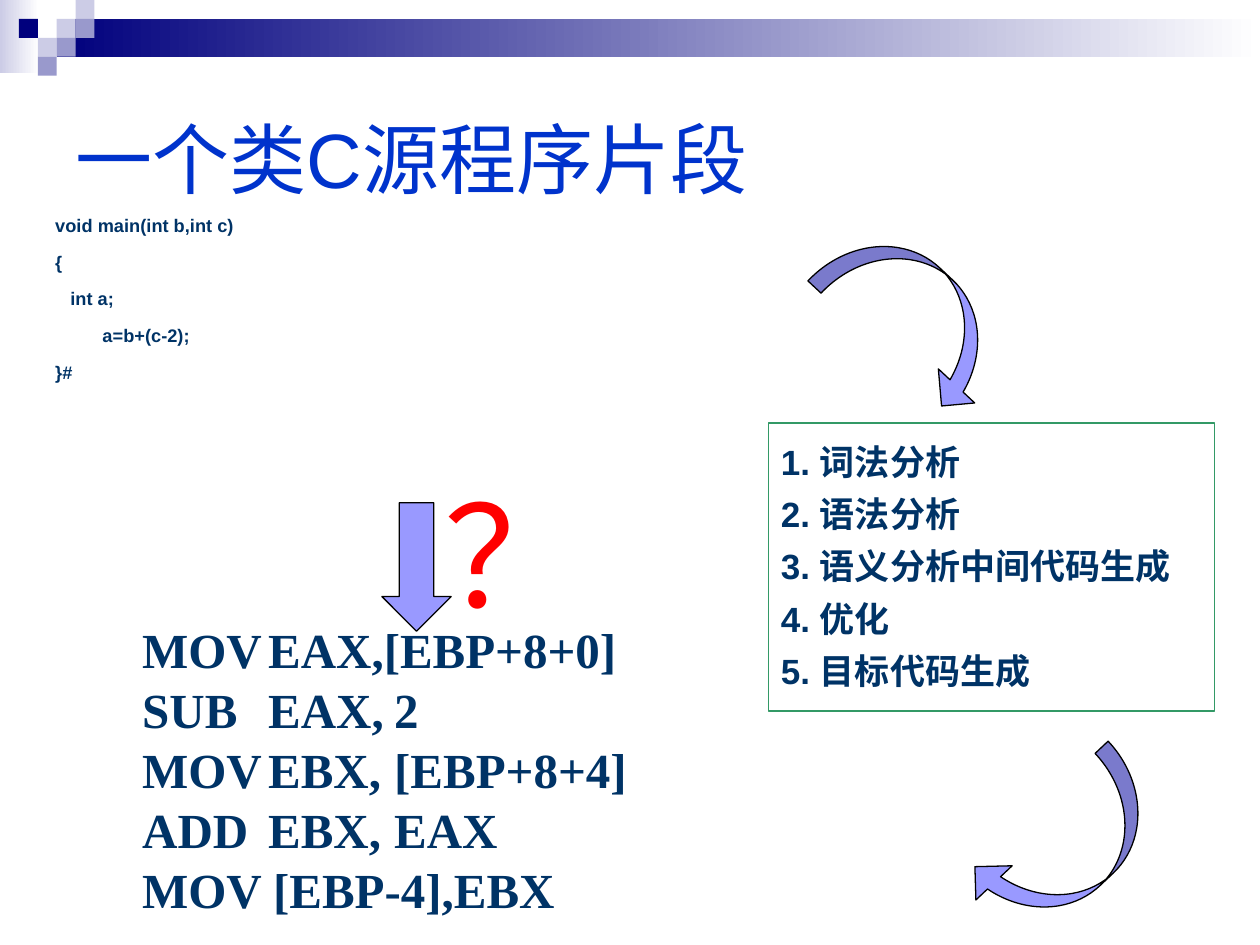
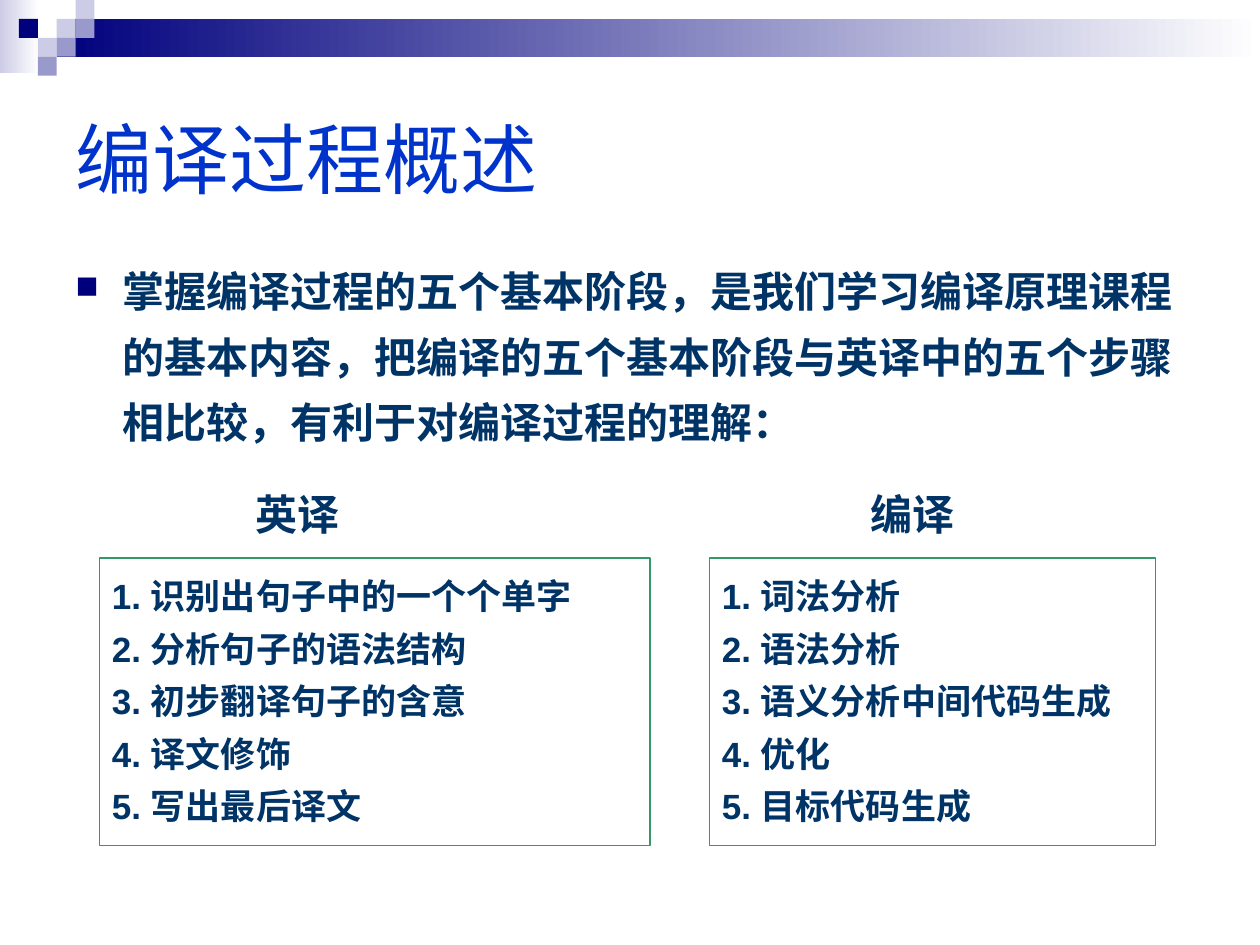
from dataclasses import dataclass
from typing import NamedTuple, Optional

from lxml import etree
from pptx import Presentation
from pptx.dml.color import RGBColor
from pptx.enum.shapes import MSO_SHAPE as Preset
from pptx.enum.text import MSO_ANCHOR as Anchor, MSO_AUTO_SIZE as AutoSize, PP_ALIGN as Align
from pptx.oxml.ns import qn
from pptx.util import Pt

# Shared look
TITLE_BLUE, INK, RED, BLACK = "0033CC", "003366", "FF0000", "000000"
NAVY, LAVENDER, MAUVE, WHITE = "00007D", "CCCCE6", "9999CC", "FFFFFF"
ARROW_FILL, FRAME_GREEN = "9999FF", "339966"
SLIDE_W, SLIDE_H = 720, 540
CELL = 10.8
HANG = 27


class Box(NamedTuple):
    left: float
    top: float
    width: float
    height: float

    def lengths(self) -> list:
        return [Pt(value) for value in self]


class Tile(NamedTuple):
    column: int
    row: int
    color: str


class Arrow(NamedTuple):
    preset: Preset
    box: Box
    adjustments: tuple
    rotation: float = 0


@dataclass(frozen=True)
class TextStyle:
    size: float
    color: str = INK
    bold: bool = True
    font: str = "Arial"
    align: Align = Align.LEFT
    line_spacing: float = 1.0
    space_before: float = 0
    hang: float = 0
    tab_step: float = 0
    bullet: Optional[str] = None
    wrap: bool = True


TITLE = TextStyle(44, TITLE_BLUE, bold=False)
SOURCE_CODE = TextStyle(10.4, space_before=8.5, hang=HANG)
ASSEMBLY = TextStyle(28, font="Times New Roman", line_spacing=0.5, space_before=17.5, tab_step=72)
QUESTION = TextStyle(80, RED, bold=False, align=Align.CENTER)
STEPS = TextStyle(20, line_spacing=1.25, hang=HANG)
SUMMARY = TextStyle(24, line_spacing=1.3, hang=HANG, bullet="■")
HEADING = TextStyle(24, align=Align.CENTER, wrap=False)

TILES = [
    Tile(3, 1, LAVENDER), Tile(4, 0, LAVENDER), Tile(4, 1, MAUVE), Tile(2, 2, LAVENDER),
    Tile(1, 1, NAVY), Tile(3, 2, MAUVE), Tile(2, 3, MAUVE),
]
CURVE = (0.18, 0.5, 0.25)
ARROWS = [
    Arrow(Preset.DOWN_ARROW, Box(218.2, 287.3, 39.6, 73.4), (0.5, 0.5)),
    Arrow(Preset.CURVED_DOWN_ARROW, Box(465.1, 151.9, 118.8, 56.9), CURVE, 43.1),
    Arrow(Preset.CURVED_DOWN_ARROW, Box(550.1, 456.5, 118.8, 56.9), CURVE, 136.7),
]

# Wording
C_LINES = ["void main(int b,int c)", "{", "   int a;", "\ta=b+(c-2);", "}#"]
ASSEMBLY_LINES = [
    "MOV\tEAX,[EBP+8+0]", "SUB \tEAX,\t2", "MOV\tEBX,\t[EBP+8+4]", "ADD \tEBX,\tEAX",
    "MOV [EBP-4],EBX",
]
COMPILER_STEPS = ["词法分析", "语法分析", "语义分析中间代码生成", "优化", "目标代码生成"]
TRANSLATION_STEPS = [
    "识别出句子中的一个个单字", "分析句子的语法结构", "初步翻译句子的含意", "译文修饰", "写出最后译文",
]
SUMMARY_TEXT = (
    "掌握编译过程的五个基本阶段，是我们学习编译原理课程的基本内容，"
    "把编译的五个基本阶段与英译中的五个步骤相比较，有利于对编译过程的理解："
)


def rgb(color: str) -> RGBColor:
    return RGBColor.from_string(color)


def add_preset(slide, preset: Preset, box: Box, fill: Optional[str] = None,
               line: Optional[str] = None, line_width: float = 0.75):
    shape = slide.shapes.add_shape(preset, *box.lengths())
    shape.shadow.inherit = False
    if fill:
        shape.fill.solid()
        shape.fill.fore_color.rgb = rgb(fill)
    else:
        shape.fill.background()
    if line:
        shape.line.color.rgb = rgb(line)
        shape.line.width = Pt(line_width)
    else:
        shape.line.fill.background()
    return shape


def add_fade(slide, box: Box, color: str) -> None:
    fill = add_preset(slide, Preset.RECTANGLE, box).fill
    fill.gradient()
    fill.gradient_angle = 0
    for stop, stop_color in zip(fill.gradient_stops, (color, WHITE)):
        stop.color.rgb = rgb(stop_color)


def format_paragraph_xml(paragraph, style: TextStyle) -> None:
    """Set hanging indent, bullet and tab stops."""
    props = paragraph._p.get_or_add_pPr()
    props.set("marL", str(Pt(style.hang)))
    props.set("indent", str(-Pt(style.hang)))
    if style.bullet:
        color = etree.SubElement(props, qn("a:buClr"))
        etree.SubElement(color, qn("a:srgbClr"), val=NAVY)
        etree.SubElement(props, qn("a:buSzPct"), val="75000")
        etree.SubElement(props, qn("a:buChar"), char=style.bullet)
    else:
        etree.SubElement(props, qn("a:buNone"))
    if style.tab_step:
        tabs = etree.SubElement(props, qn("a:tabLst"))
        for number in range(1, 8):
            etree.SubElement(tabs, qn("a:tab"), pos=str(Pt(number * style.tab_step)), algn="l")


def write_lines(frame, lines: list[str], style: TextStyle, anchor: Anchor = Anchor.TOP) -> None:
    frame.word_wrap = style.wrap
    frame.auto_size = AutoSize.NONE
    frame.vertical_anchor = anchor
    for index, line in enumerate(lines):
        paragraph = frame.paragraphs[0] if index == 0 else frame.add_paragraph()
        format_paragraph_xml(paragraph, style)
        paragraph.alignment = style.align
        paragraph.line_spacing = style.line_spacing
        paragraph.space_before = Pt(style.space_before if index else 0)
        run = paragraph.add_run()
        run.text = line
        run.font.name = style.font
        run.font.size = Pt(style.size)
        run.font.bold = style.bold
        run.font.color.rgb = rgb(style.color)


def add_text(slide, box: Box, lines: list[str], style: TextStyle) -> None:
    write_lines(slide.shapes.add_textbox(*box.lengths()).text_frame, lines, style)


def add_steps(slide, box: Box, steps: list[str]) -> None:
    frame = add_preset(slide, Preset.RECTANGLE, box, line=FRAME_GREEN, line_width=1)
    numbered = [f"{number}. {step}" for number, step in enumerate(steps, 1)]
    write_lines(frame.text_frame, numbered, STEPS)


def add_arrow(slide, arrow: Arrow) -> None:
    shape = add_preset(slide, arrow.preset, arrow.box, ARROW_FILL, BLACK)
    shape.rotation = arrow.rotation
    for index, value in enumerate(arrow.adjustments):
        shape.adjustments[index] = value


def add_titled_slide(prs, title_text: str):
    slide = prs.slides.add_slide(prs.slide_layouts[5])
    # Top band with its checkered corner
    add_fade(slide, Box(0, 0, 22.3, 41.8), LAVENDER)
    add_fade(slide, Box(3 * CELL, CELL, SLIDE_W - 3 * CELL, 2 * CELL), NAVY)
    for tile in TILES:
        box = Box(tile.column * CELL, tile.row * CELL, CELL, CELL)
        add_preset(slide, Preset.RECTANGLE, box, tile.color)
    # Title
    title = slide.shapes.title
    title.left, title.top, title.width, title.height = Box(36, 36, 648, 108).lengths()
    write_lines(title.text_frame, [title_text], TITLE, Anchor.MIDDLE)
    return slide


def build_source_slide(prs) -> None:
    slide = add_titled_slide(prs, "一个类C源程序片段")
    add_text(slide, Box(24.5, 118.8, 437, 108.7), C_LINES, SOURCE_CODE)
    add_steps(slide, Box(439.2, 241.9, 254.9, 164.2), COMPILER_STEPS)
    for arrow in ARROWS:
        add_arrow(slide, arrow)
    add_text(slide, Box(239.8, 264.2, 108, 103.7), ["？"], QUESTION)
    add_text(slide, Box(74.2, 365, 357.1, 161.3), ASSEMBLY_LINES, ASSEMBLY)


def build_overview_slide(prs) -> None:
    slide = add_titled_slide(prs, "编译过程概述")
    add_text(slide, Box(36, 139.7, 648, 131), [SUMMARY_TEXT], SUMMARY)
    # The two processes side by side
    add_steps(slide, Box(56.9, 319, 314.6, 164.2), TRANSLATION_STEPS)
    add_steps(slide, Box(405.4, 319, 254.9, 164.2), COMPILER_STEPS)
    for left, heading in ((139, "英译"), (490.3, "编译")):
        add_text(slide, Box(left, 275.8, 61.9, 36), [heading], HEADING)


def main() -> None:
    prs = Presentation()
    prs.slide_width, prs.slide_height = Pt(SLIDE_W), Pt(SLIDE_H)
    build_source_slide(prs)
    build_overview_slide(prs)
    prs.save("out.pptx")


if __name__ == "__main__":
    main()
